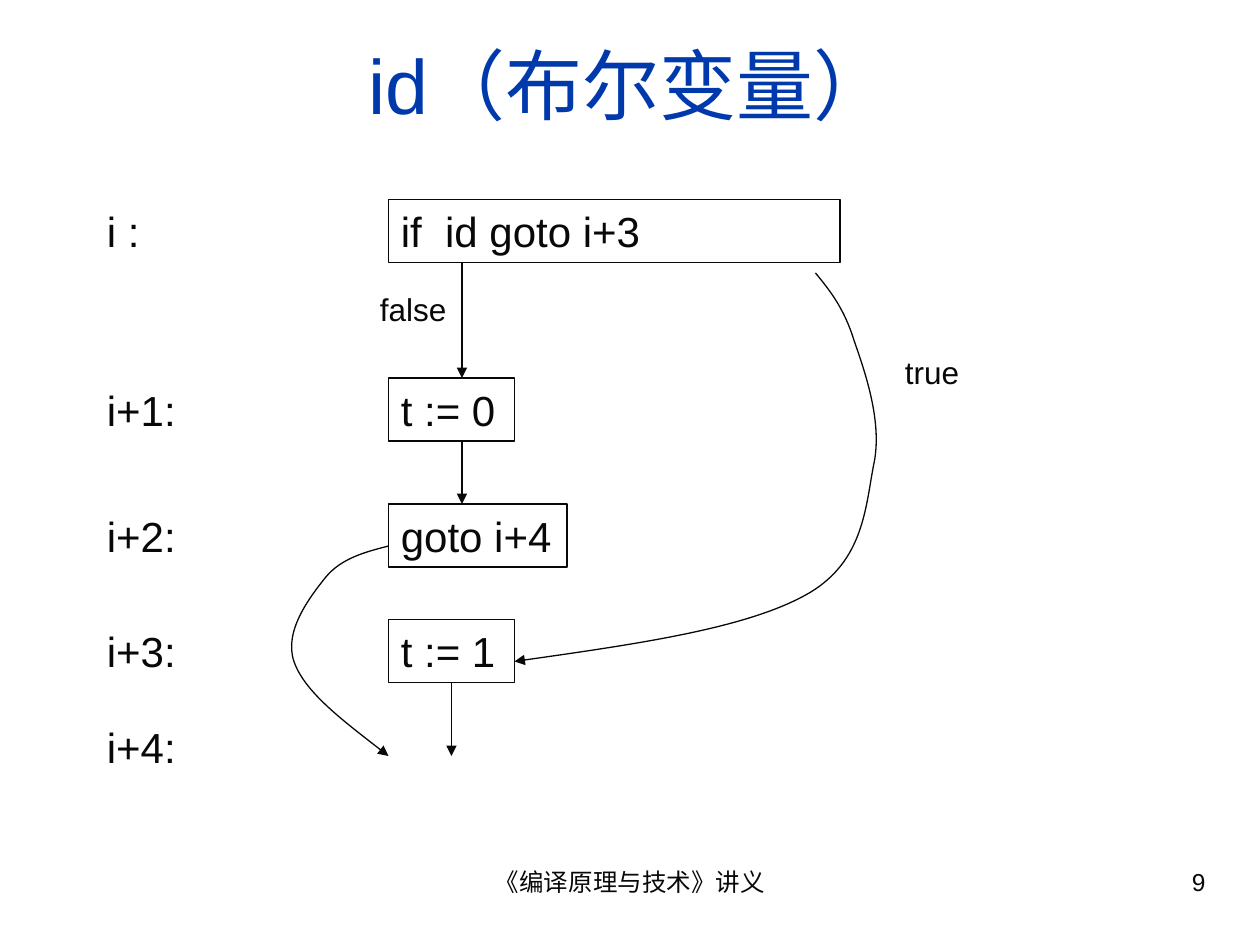
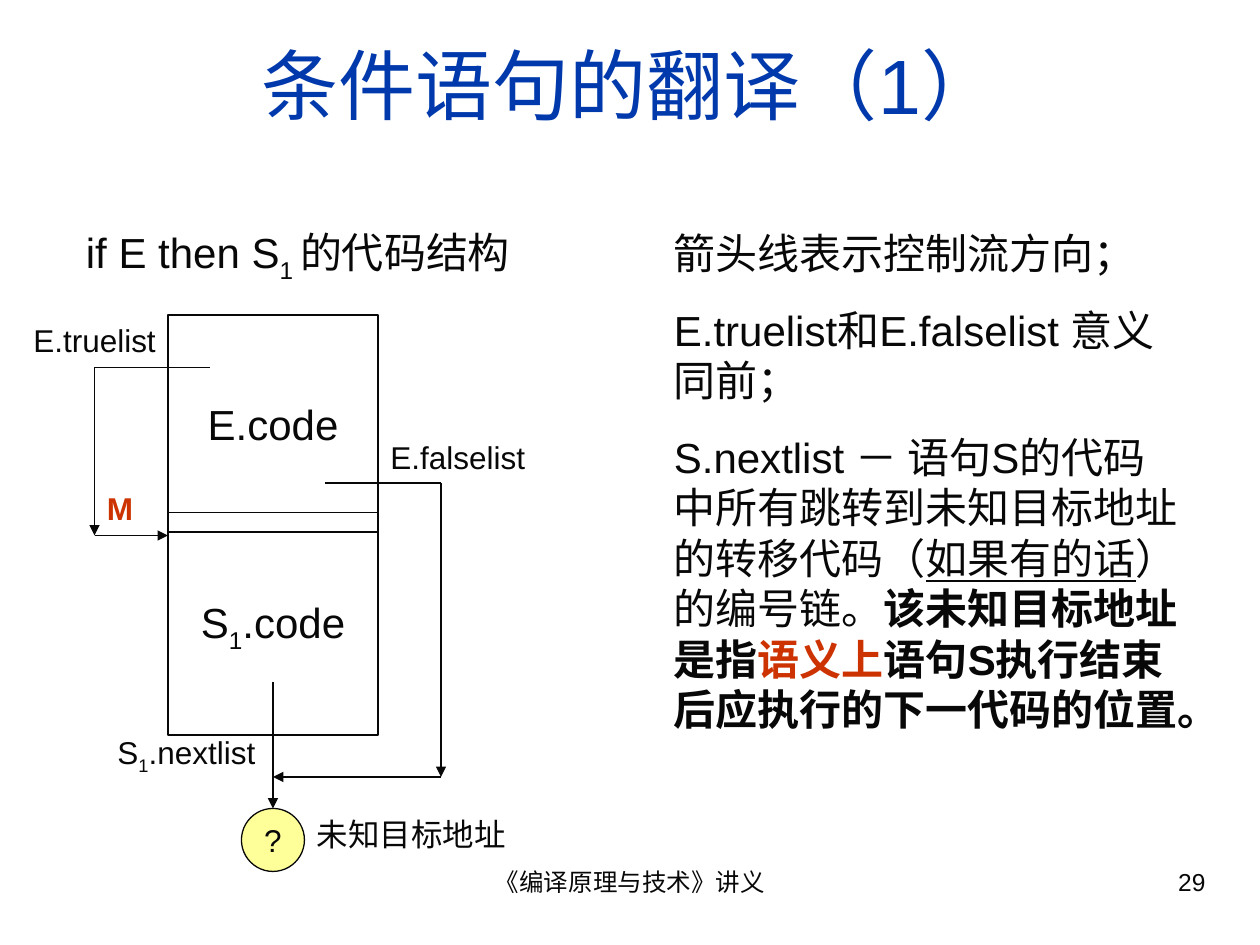
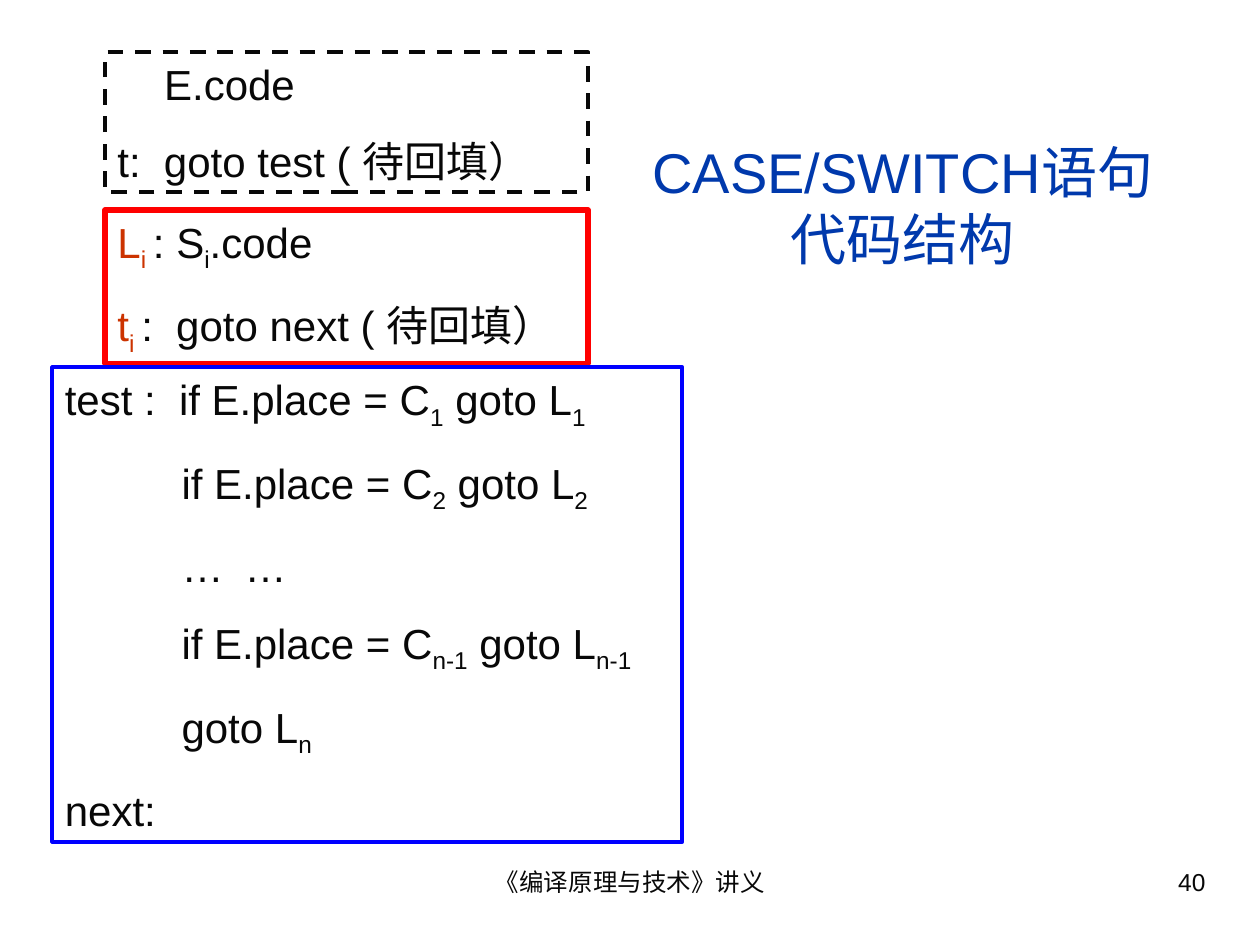
from dataclasses import dataclass
from lxml.etree import SubElement
from pptx import Presentation
from pptx.dml.color import RGBColor
from pptx.enum.dml import MSO_LINE
from pptx.enum.shapes import MSO_CONNECTOR, MSO_SHAPE
from pptx.enum.text import MSO_ANCHOR, MSO_AUTO_SIZE, PP_ALIGN
from pptx.oxml.ns import qn
from pptx.util import Pt


@dataclass(frozen=True)
class Theme:
    font: str = "Arial"
    ink: str = "080808"
    blue: str = "0039AC"
    rust: str = "CC3300"
    red: str = "FF0000"
    frame: str = "0000FF"
    yellow: str = "FFFF99"
    title: int = 44
    small_title: int = 32
    body: int = 24
    label: int = 18
    foot: int = 14
    thin: float = 0.75
    mid: float = 2.25
    thick: float = 3


T = Theme()
LEFT, CENTER, RIGHT = PP_ALIGN.LEFT, PP_ALIGN.CENTER, PP_ALIGN.RIGHT
FOOTER = "《编译原理与技术》讲义"


def rgb(code):
    return RGBColor.from_string(code)


def style(font, size, color):
    font.name, font.size = T.font, Pt(size)
    font.color.rgb = rgb(color)


def add_run(para, text, marks=""):
    """Marks: sub, red, bold, line (underline)."""
    run = para.add_run()
    run.text = text
    if "sub" in marks:
        run._r.get_or_add_rPr().set("baseline", "-25000")
    if "red" in marks:
        run.font.color.rgb = rgb(T.rust)
    if "bold" in marks:
        run.font.bold = True
    if "line" in marks:
        run.font.underline = True


def fill_text(shape, paras, size=T.body, align=LEFT, anchor=MSO_ANCHOR.TOP,
              top=3.6, indents=()):
    """Each paragraph is a string or a list of (text, marks)."""
    frame = shape.text_frame
    frame.word_wrap = True
    frame.auto_size = MSO_AUTO_SIZE.NONE
    frame.vertical_anchor = anchor
    frame.margin_left = frame.margin_right = Pt(7.2)
    frame.margin_top, frame.margin_bottom = Pt(top), Pt(3.6)
    for i, runs in enumerate(paras):
        para = frame.paragraphs[0] if i == 0 else frame.add_paragraph()
        para.alignment = align
        para.space_before = Pt(size * 0.625 if i else 0)
        if indents:
            props = para._p.get_or_add_pPr()
            props.set("marL", str(Pt(indents[i])))
            props.set("indent", "0")
        style(para.font, size, T.ink)
        for run in [(runs,)] if isinstance(runs, str) else runs:
            add_run(para, *run)


def add_head(line):
    SubElement(line._get_or_add_ln(), qn("a:tailEnd"), type="triangle")


def set_line(line, color=T.ink, width=T.thin):
    line.color.rgb = rgb(color)
    line.width = Pt(width)


class Pane:
    """A region of a slide; parts are placed from its top left corner."""

    def __init__(self, slide, box):
        self.shapes = slide.shapes
        self.x, self.y, self.w, self.h = box

    def spot(self, x, y):
        return Pt(self.x + x), Pt(self.y + y)

    def text(self, x, y, w, h, paras, **opts):
        box = self.shapes.add_textbox(*self.spot(x, y), Pt(w), Pt(h))
        fill_text(box, paras, **opts)

    def label(self, x, y, w, runs):
        self.text(x, y, w, 29, [runs], size=T.label)

    def box(self, x, y, w, h, paras, kind=MSO_SHAPE.RECTANGLE, fill=None,
            color=T.ink, width=T.thin, **opts):
        shape = self.shapes.add_shape(kind, *self.spot(x, y), Pt(w), Pt(h))
        shape.shadow.inherit = False
        if fill:
            shape.fill.solid()
            shape.fill.fore_color.rgb = rgb(fill)
        else:
            shape.fill.background()
        set_line(shape.line, color, width)
        fill_text(shape, paras, **opts)
        return shape

    def line(self, start, end, head=True):
        link = self.shapes.add_connector(
            MSO_CONNECTOR.STRAIGHT, *self.spot(*start), *self.spot(*end))
        set_line(link.line)
        if head:
            add_head(link.line)
        SubElement(link._element.spPr, qn("a:effectLst"))

    def curve(self, start, *rest):
        """Bezier arrow: after the start, three points for each piece."""
        pen = self.shapes.build_freeform(*self.spot(*start))
        pen.add_line_segments([self.spot(*p) for p in rest], close=False)
        shape = pen.convert_to_shape()
        shape.shadow.inherit = False
        shape.fill.background()
        set_line(shape.line)
        add_head(shape.line)
        # Merge each three straight steps into one cubic piece
        track = next(shape._element.iter(qn("a:path")))
        steps = track.findall(qn("a:lnTo"))
        for i in range(0, len(steps), 3):
            piece = SubElement(track, qn("a:cubicBezTo"))
            for step in steps[i:i + 3]:
                piece.append(step[0])
                track.remove(step)


def add_slide(deck, title, number, box=(24, 18, 672, 60), size=T.title):
    slide = deck.slides.add_slide(deck.slide_layouts[5])
    # Title
    head = slide.shapes.title
    head.left, head.top, head.width, head.height = map(Pt, box)
    frame = head.text_frame
    frame.text = title
    frame.auto_size = MSO_AUTO_SIZE.NONE
    frame.vertical_anchor = MSO_ANCHOR.MIDDLE
    para = frame.paragraphs[0]
    para.alignment = CENTER
    style(para.font, size, T.blue)
    # Footer and page number
    foot = Pane(slide, (246, 492, 450, 37))
    foot.text(0, 0, 228, foot.h, [FOOTER], size=T.foot, align=CENTER)
    foot.text(270, 0, 180, foot.h, [str(number)], size=T.foot, align=RIGHT)
    return slide


def draw_flow(slide, box):
    pane = Pane(slide, box)
    left, high = 168, 36
    # Numbered code rows: label, top, code, box width
    rows = [("i :", 0, "if  id goto i+3", 258),
            ("i+1:", 102, "t := 0", 72),
            ("i+2:", 174, "goto i+4", 102),
            ("i+3:", 240, "t := 1", 72),
            ("i+4:", 295, None, 0)]
    for name, top, code, wide in rows:
        pane.text(0, top, 156, high, [name])
        if code:
            pane.box(left, top, wide, high, [code])
    # Jumps
    pane.curve((412, 42), (420.5, 52.3), (428.4, 62.4), (434, 80.4),
               (440, 97.7), (450, 125.8), (445.7, 149.5),
               (440.6, 174), (440.6, 207), (406.8, 225.8),
               (372, 245.3), (306, 254.6), (240, 264))
    pane.curve((left, 198), (154.8, 201.4), (141, 205), (132, 216),
               (123, 227.3), (108, 246.7), (114, 264),
               (120, 281.3), (144, 299.3), (left, 318))
    # Falling through
    for x, top, end in [(210, high, 102), (210, 138, 174), (204, 276, 318)]:
        pane.line((x, top), (x, end))
    pane.label(456, 84, 84, "true")
    pane.label(156, 48, 84, "false")


def draw_branch(slide, box):
    pane = Pane(slide, box)
    pane.text(30, 0, 270, 40,
              [[("if E then S",), ("1 ", "sub"), ("的代码结构",)]])
    # Code blocks
    opts = dict(align=CENTER, top=48)
    pane.box(84, 54, 120, 124, ["E.code"], **opts)
    pane.box(84, 167, 120, 127, [[("S",), ("1", "sub"), (".code",)]], **opts)
    # True exit
    pane.line((108, 84), (42, 84), head=False)
    pane.line((42, 84), (42, 180))
    pane.line((42, 180), (84, 180))
    # False exit
    pane.line((174, 150), (240, 150), head=False)
    pane.line((240, 150), (240, 318))
    pane.line((240, 318), (144, 318))
    # Next exit
    pane.line((144, 264), (144, 336))
    pane.box(126, 336, 36, 36, ["?"], kind=MSO_SHAPE.OVAL, fill=T.yellow,
             size=T.label, align=CENTER, anchor=MSO_ANCHOR.MIDDLE)
    # Labels
    pane.label(0, 54, 102, "E.truelist")
    pane.label(204, 121, 120, "E.falselist")
    pane.label(48, 289.5, 102, [("S",), ("1", "sub"), (".nextlist",)])
    pane.label(42, 150, 48, [("M", "red bold")])
    pane.label(162, 336, 180, "未知目标地址")


def write_notes(slide, box):
    pane = Pane(slide, box)
    pane.text(0, 0, pane.w, pane.h, [
        "箭头线表示控制流方向；",
        "E.truelist和E.falselist 意义同前；",
        [("S.nextlist － 语句S的代码中所有跳转到未知目标地址的转移代码（",),
         ("如果有的话", "line"), ("）的编号链。",),
         ("该未知目标地址是指", "bold"), ("语义上", "red bold"),
         ("语句S执行结束后应执行的下一代码的位置。", "bold")]])


def test_row(lead, sub):
    return [(lead + "if E.place = C",), (sub, "sub"),
            (" goto L",), (sub, "sub")]


def draw_case(slide, box):
    pane = Pane(slide, box)
    # Selector
    part = pane.box(30, 0, 276, 80, ["E.code", "t:  goto test ( 待回填）"],
                    width=T.mid, indents=(26.7, 0))
    part.line.dash_style = MSO_LINE.DASH
    # One branch
    pane.box(30, 90, 276, 88, [
        [("L", "red"), ("i ", "red sub"), (": S",), ("i", "sub"), (".code",)],
        [("t", "red"), ("i ", "red sub"), (":  goto next ( 待回填）",)]],
        color=T.red, width=T.thick)
    # Tests
    step = 66.7
    part = pane.box(0, 180, 360, 271, [
        test_row("test :  ", "1"), test_row("", "2"), "…\t…",
        test_row("", "n-1"), [("goto L",), ("n", "sub")], "next:"],
        color=T.frame, width=T.mid, indents=(0, step, step, step, step, 0))
    # Tab stop between the dots, ahead of the font defaults
    props = part.text_frame.paragraphs[2]._p.pPr
    stops = SubElement(props, qn("a:tabLst"))
    SubElement(stops, qn("a:tab"), pos=str(Pt(step + 51)), algn="l")
    props.find(qn("a:defRPr")).addprevious(stops)


deck = Presentation()
deck.slide_width, deck.slide_height = Pt(720), Pt(540)

draw_flow(add_slide(deck, "id（布尔变量）", 9), (54, 114, 540, 336))

page = add_slide(deck, "条件语句的翻译（1）", 29)
draw_branch(page, (12, 126, 342, 372))
write_notes(page, (378, 126.7, 306, 297))

page = add_slide(deck, "CASE/SWITCH语句\v代码结构", 40,
                 (330, 90, 372, 54), T.small_title)
draw_case(page, (30, 30, 360, 451))

deck.save("out.pptx")
